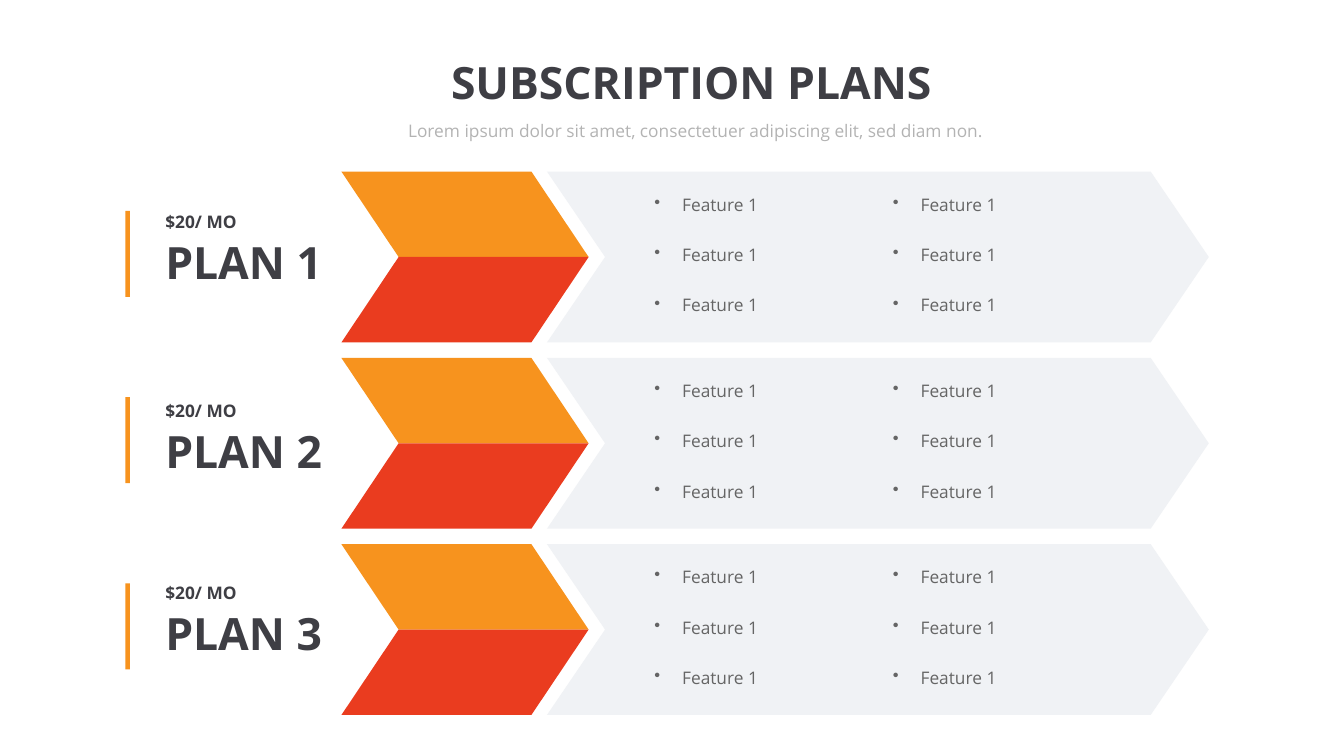
from dataclasses import dataclass

from lxml import etree
from pptx import Presentation
from pptx import util as u
from pptx.dml.color import RGBColor
from pptx.enum import shapes, text
from pptx.oxml.ns import qn
from pptx.shapes.autoshape import Shape
from pptx.slide import Slide


@dataclass(frozen=True)
class Theme:
    font: str = "Open Sans"
    dark: str = "3E3E44"
    muted: str = "B3B3B3"
    body: str = "656565"
    orange: str = "F7931E"
    red: str = "EA3C1F"
    panel: str = "F0F2F5"
    heading_size: int = 36
    text_size: int = 14


@dataclass(frozen=True)
class Box:
    """A rectangle in centimetres."""
    left: float
    top: float
    width: float
    height: float

    def lengths(self) -> tuple[u.Length, ...]:
        return tuple(u.Cm(n) for n in (self.left, self.top, self.width, self.height))


@dataclass(frozen=True)
class Plan:
    name: str
    price: str
    price_top: float
    features: tuple[str, ...] = ("Feature 1",) * 3


THEME = Theme()
PLANS = (
    Plan("PLAN 1", "$20/ MO", 5.92),
    Plan("PLAN 2", "$20/ MO", 11.3),
    Plan("PLAN 3", "$20/ MO", 16.51),
)

# Row grid, in centimetres
FIRST_TOP = 4.9
ROW_PITCH = 5.32
ROW_HEIGHT = 4.88
HALF_HEIGHT = ROW_HEIGHT / 2
FEATURE_LEFTS = (18.44, 25.25)


def format_text(shape: Shape, size: int, color: str, bold: bool = False) -> None:
    for paragraph in shape.text_frame.paragraphs:
        for run in paragraph.runs:
            run.font.name = THEME.font
            run.font.size = u.Pt(size)
            run.font.bold = bold
            run.font.color.rgb = RGBColor.from_string(color)


def add_text(slide: Slide, box: Box, words: str, size: int, color: str,
             bold: bool = False) -> Shape:
    shape = slide.shapes.add_textbox(*box.lengths())
    shape.text_frame.word_wrap = True
    shape.text_frame.text = words
    format_text(shape, size, color, bold)
    return shape


def add_block(slide: Slide, kind: shapes.MSO_SHAPE, box: Box, color: str) -> Shape:
    shape = slide.shapes.add_shape(kind, *box.lengths())
    shape.shadow.inherit = False
    shape.fill.solid()
    shape.fill.fore_color.rgb = RGBColor.from_string(color)
    shape.line.fill.background()
    return shape


def center_line(shape: Shape, line_spacing: float) -> None:
    frame = shape.text_frame
    frame.margin_left = frame.margin_right = frame.margin_top = frame.margin_bottom = 0
    frame.vertical_anchor = text.MSO_ANCHOR.TOP
    frame.paragraphs[0].alignment = text.PP_ALIGN.CENTER
    frame.paragraphs[0].line_spacing = line_spacing


def add_heading(slide: Slide) -> None:
    title = slide.shapes.title
    title.left, title.top, title.width, title.height = Box(8.99, 1.7, 21.51, 1.14).lengths()
    title.text_frame.text = "SUBSCRIPTION PLANS"
    title.text_frame.auto_size = text.MSO_AUTO_SIZE.NONE
    format_text(title, THEME.heading_size, THEME.dark, bold=True)
    center_line(title, 0.94)

    subtitle = add_text(
        slide, Box(10.08, 3.38, 19.58, 0.94),
        "Lorem ipsum dolor sit amet, consectetuer adipiscing elit, sed diam non.",
        THEME.text_size, THEME.muted)
    center_line(subtitle, 1.1)


def add_features(slide: Slide, box: Box, features: tuple[str, ...]) -> None:
    shape = add_text(slide, box, "\n".join(features), THEME.text_size, THEME.body)
    for index, paragraph in enumerate(shape.text_frame.paragraphs):
        properties = paragraph._p.get_or_add_pPr()
        properties.set("marL", str(u.Cm(0.79)))
        properties.set("indent", str(-u.Cm(0.79)))
        bullet_color = etree.SubElement(properties, qn("a:buClr"))
        etree.SubElement(bullet_color, qn("a:srgbClr"), val=THEME.body)
        etree.SubElement(properties, qn("a:buChar"), char="•")
        if index:
            paragraph.space_before = u.Pt(24)


def add_plan(slide: Slide, plan: Plan, top: float) -> None:
    # Price, name and accent bar
    add_text(slide, Box(4.47, plan.price_top, 3.66, 0.86), plan.price,
             THEME.text_size, THEME.dark, bold=True)
    add_text(slide, Box(4.47, plan.price_top + 0.68, 5.23, 1.8), plan.name,
             THEME.heading_size, THEME.dark, bold=True)
    add_block(slide, shapes.MSO_SHAPE.RECTANGLE,
              Box(3.58, top + 1.12, 0.13, 2.46), THEME.orange)

    # Feature panel
    panel = add_block(slide, shapes.MSO_SHAPE.CHEVRON,
                      Box(15.62, top, 18.9, ROW_HEIGHT), THEME.panel)
    panel.adjustments[0] = 0.34

    # Two-colour arrow: the upper half mirrors the lower one
    for half, color in enumerate((THEME.orange, THEME.red)):
        shape = add_block(slide, shapes.MSO_SHAPE.PARALLELOGRAM,
                          Box(9.75, top + half * HALF_HEIGHT, 7.06, HALF_HEIGHT), color)
        shape.adjustments[0] = 0.67
        if half == 0:
            shape._element.spPr.find(qn("a:xfrm")).set("flipH", "1")

    # Feature columns
    for left in FEATURE_LEFTS:
        add_features(slide, Box(left, top + 0.51, 5.72, 4.39), plan.features)


def main() -> None:
    presentation = Presentation()
    presentation.slide_width = u.Cm(38.38)
    presentation.slide_height = u.Cm(21.59)
    slide = presentation.slides.add_slide(presentation.slide_layouts.get_by_name("Title Only"))

    add_heading(slide)
    for row, plan in enumerate(PLANS):
        add_plan(slide, plan, FIRST_TOP + row * ROW_PITCH)

    presentation.save("out.pptx")


if __name__ == "__main__":
    main()
